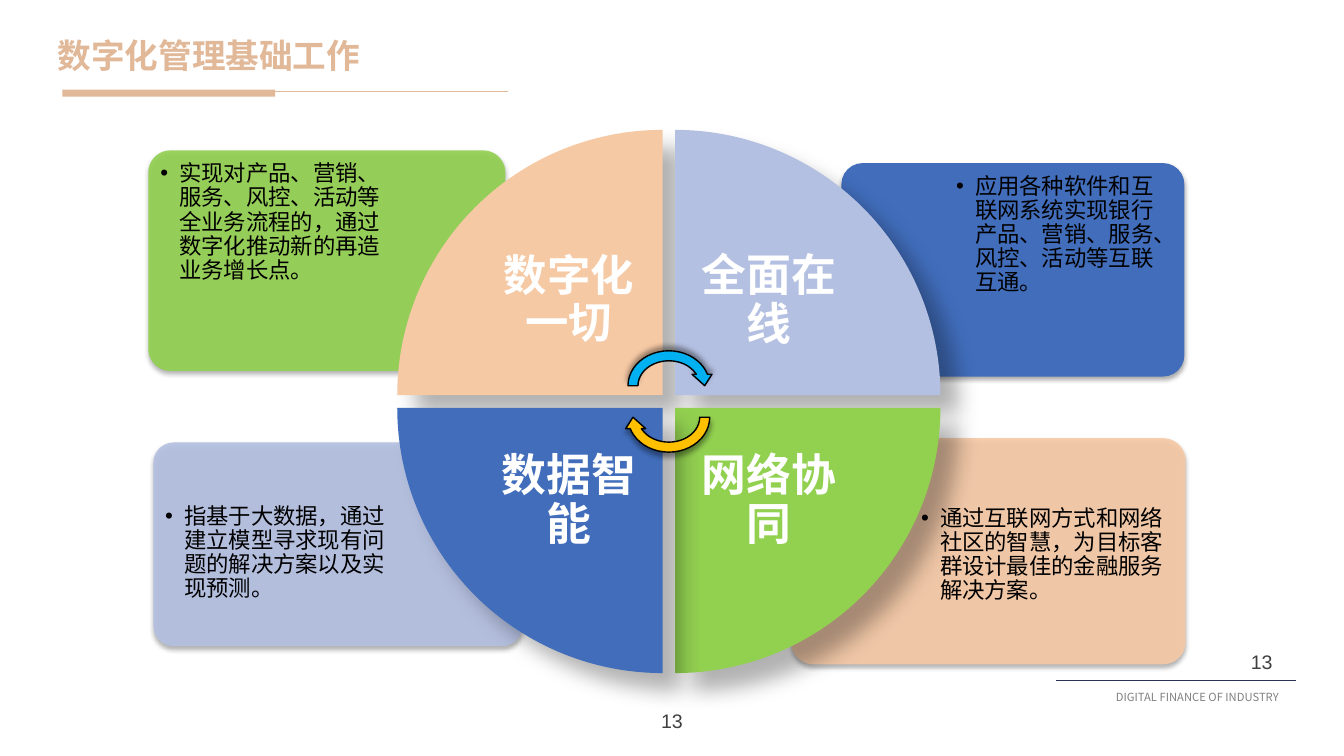
"""Build a slide with a four-part wheel of digital management groundwork."""
from lxml.etree import SubElement
from pptx import Presentation
from pptx.dml.color import RGBColor
from pptx.enum.shapes import MSO_CONNECTOR, MSO_SHAPE
from pptx.enum.text import MSO_ANCHOR, MSO_AUTO_SIZE, PP_ALIGN
from pptx.oxml.ns import qn
from pptx.util import Pt

LINE = MSO_CONNECTOR.STRAIGHT
RECT, PANEL = MSO_SHAPE.RECTANGLE, MSO_SHAPE.ROUNDED_RECTANGLE
WEDGE, ARROW = MSO_SHAPE.PIE_WEDGE, MSO_SHAPE.CIRCULAR_ARROW
TOP, MIDDLE = MSO_ANCHOR.TOP, MSO_ANCHOR.MIDDLE
LEFT, CENTER = PP_ALIGN.LEFT, PP_ALIGN.CENTER
FIXED = MSO_AUTO_SIZE.NONE
SAND, PEACH, LILAC, BLUE, GREEN = "E1B898", "F6C9A5", "B4C0E2", "416DBB", "92D050"
color = RGBColor.from_string


def paint(shape, fill, alpha=100, shadow=None):
    """Fill a shape without outline; shadow is alpha, blur, distance, angle."""
    shape.fill.solid()
    shape.fill.fore_color.rgb = color(fill)
    shape.line.fill.background()
    shape.shadow.inherit = False
    props = shape.element.spPr
    if alpha < 100:
        tint = props.find(qn("a:solidFill")).find(qn("a:srgbClr"))
        SubElement(tint, qn("a:alpha"), val=str(alpha * 1000))
    if shadow:
        depth, blur, dist, angle = shadow
        cast = SubElement(props.find(qn("a:effectLst")), qn("a:outerShdw"),
                          blurRad=str(Pt(blur)), dist=str(Pt(dist)),
                          dir=str(angle * 60000), rotWithShape="0")
        tint = SubElement(cast, qn("a:srgbClr"), val="000000")
        SubElement(tint, qn("a:alpha"), val=str(depth * 1000))


def write(box, text, size, tint, bold=False, align=LEFT, anchor=TOP,
          pad=None, space=1.0, face="Arial"):
    """Put one formatted paragraph into a box and return it."""
    frame = box.text_frame
    frame.text = text
    frame.word_wrap = True
    frame.auto_size = FIXED
    frame.vertical_anchor = anchor
    if pad:
        frame.margin_left = frame.margin_right = Pt(pad)
        frame.margin_top = frame.margin_bottom = Pt(pad)
    para = frame.paragraphs[0]
    para.alignment = align
    para.line_spacing = space
    para.space_before = Pt(0)
    para.font.name = face
    para.font.size = Pt(size)
    para.font.bold = bold
    para.font.color.rgb = color(tint)
    return para


deck = Presentation()
deck.slide_width, deck.slide_height = Pt(960), Pt(540)
slide = deck.slides.add_slide(deck.slide_layouts[4])
shapes = slide.shapes
title, *notes = slide.placeholders

title.left, title.top, title.width, title.height = map(Pt, (34, 21.5, 892, 36))
write(title, "数字化管理基础工作", 24, SAND, bold=True)

rules = [((61, 65.5, 363, 65.5), SAND, 1), ((754.5, 486, 926, 486), "2B3457", 0.5)]
for ends, tint, width in rules:
    rule = shapes.add_connector(LINE, *map(Pt, ends))
    rule.line.color.rgb = color(tint)
    rule.line.width = Pt(width)
    SubElement(rule.element.spPr, qn("a:effectLst"))
paint(shapes.add_shape(RECT, *map(Pt, (44.5, 64, 152, 5))), SAND)

tag = shapes.add_textbox(*map(Pt, (790, 489.5, 140.5, 17)))
write(tag, "DIGITAL FINANCE OF INDUSTRY", 8, "808080", face="Noto Sans CJK SC")
tag.text_frame.word_wrap = False

parts = [
    ("数字化一切", 31, PEACH, GREEN, 90, (106, 107.5, 255, 157.5),
     (109.5, 111, 171.5, 111.5),
     "实现对产品、营销、服务、风控、活动等全业务流程的，通过数字化推动新的再造业务增长点。"),
    ("全面在线", 32, LILAC, BLUE, 100, (601, 116.5, 245, 152.5),
     (678, 120, 165, 108),
     "应用各种软件和互联网系统实现银行产品、营销、服务、风控、活动等互联互通。"),
    ("网络协同", 32, GREEN, PEACH, 90, (565, 313, 282, 161.5),
     (653, 357, 191, 114),
     "通过互联网方式和网络社区的智慧，为目标客群设计最佳的金融服务解决方案。"),
    ("数据智能", 32, BLUE, LILAC, 90, (109.5, 316, 264, 145.5),
     (113, 355.5, 178.5, 103),
     "指基于大数据，通过建立模型寻求现有问题的解决方案以及实现预测。"),
]

for note, (_, _, _, fill, alpha, area, spot, text) in zip(notes, parts):
    panel = shapes.add_shape(PANEL, *map(Pt, area))
    panel.adjustments[0] = 0.1
    paint(panel, fill, alpha, (32, 3.5, 2.2, 90))
    note.left, note.top, note.width, note.height = map(Pt, spot)
    para = write(note, text, 16, "000000", pad=5, space=0.9)
    props = para._p.get_or_add_pPr()
    props.set("marL", str(Pt(13.5)))
    props.set("indent", str(Pt(-13.5)))
    bullet = props.makeelement(qn("a:buChar"), {"char": "•"})
    props.find(qn("a:defRPr")).addprevious(bullet)
    panel.element.addnext(note.element)

MIDX, MIDY, HALF, SIDE, CELL = 477.75, 286.75, 4.5, 189.5, 134
for turn, (name, size, fill, *_) in enumerate(parts):
    east, south = turn in (1, 2), turn in (2, 3)
    for edge in (SIDE, CELL):
        x = MIDX + HALF if east else MIDX - HALF - edge
        y = MIDY + HALF if south else MIDY - HALF - edge
        spot = map(Pt, (x, y, edge, edge))
        if edge == SIDE:
            wedge = shapes.add_shape(WEDGE, *spot)
            wedge.rotation = 90 * turn
            paint(wedge, fill, shadow=(30, 15, 18, 45))
        else:
            write(shapes.add_textbox(*spot), name, size, "FFFFFF", bold=True,
                  align=CENTER, anchor=MIDDLE, pad=17.5, space=0.9)

for y, turn, fill, angle in [(247, 0, "00B0F0", 270), (269.5, 180, "FFC000", 90)]:
    arrow = shapes.add_shape(ARROW, *map(Pt, (445, y, 65.5, 57)))
    arrow.rotation = turn
    paint(arrow, fill, shadow=(40, 4, 3, angle))
    arrow.line.color.rgb = color("000000")
    arrow.line.width = Pt(1)

for spot in [(372, 500.5, 216, 29), (880, 458, 42.5, 29)]:
    page = shapes.add_textbox(*map(Pt, spot))
    write(page, "13", 14, "404040", align=CENTER, anchor=MIDDLE)

deck.save("out.pptx")
